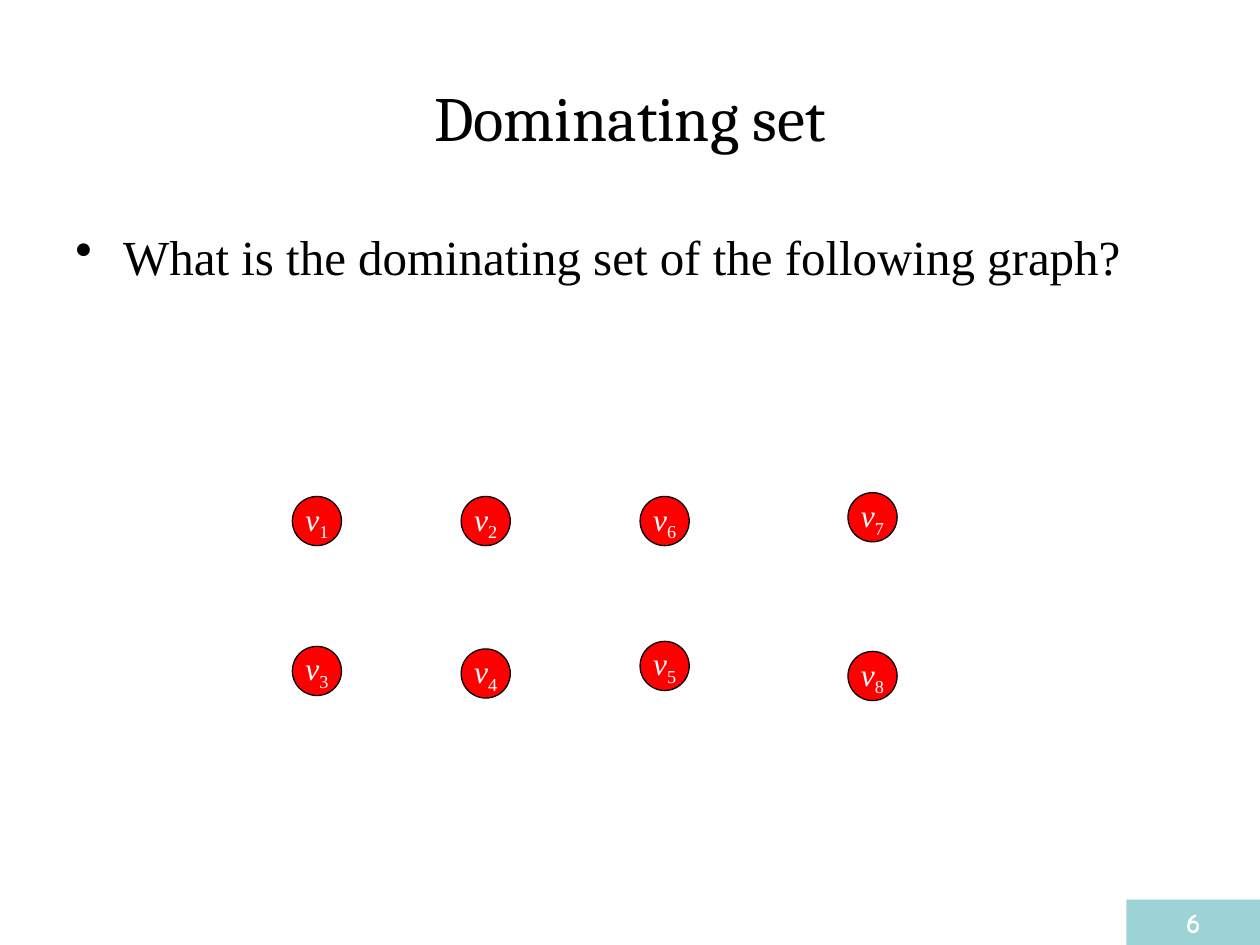
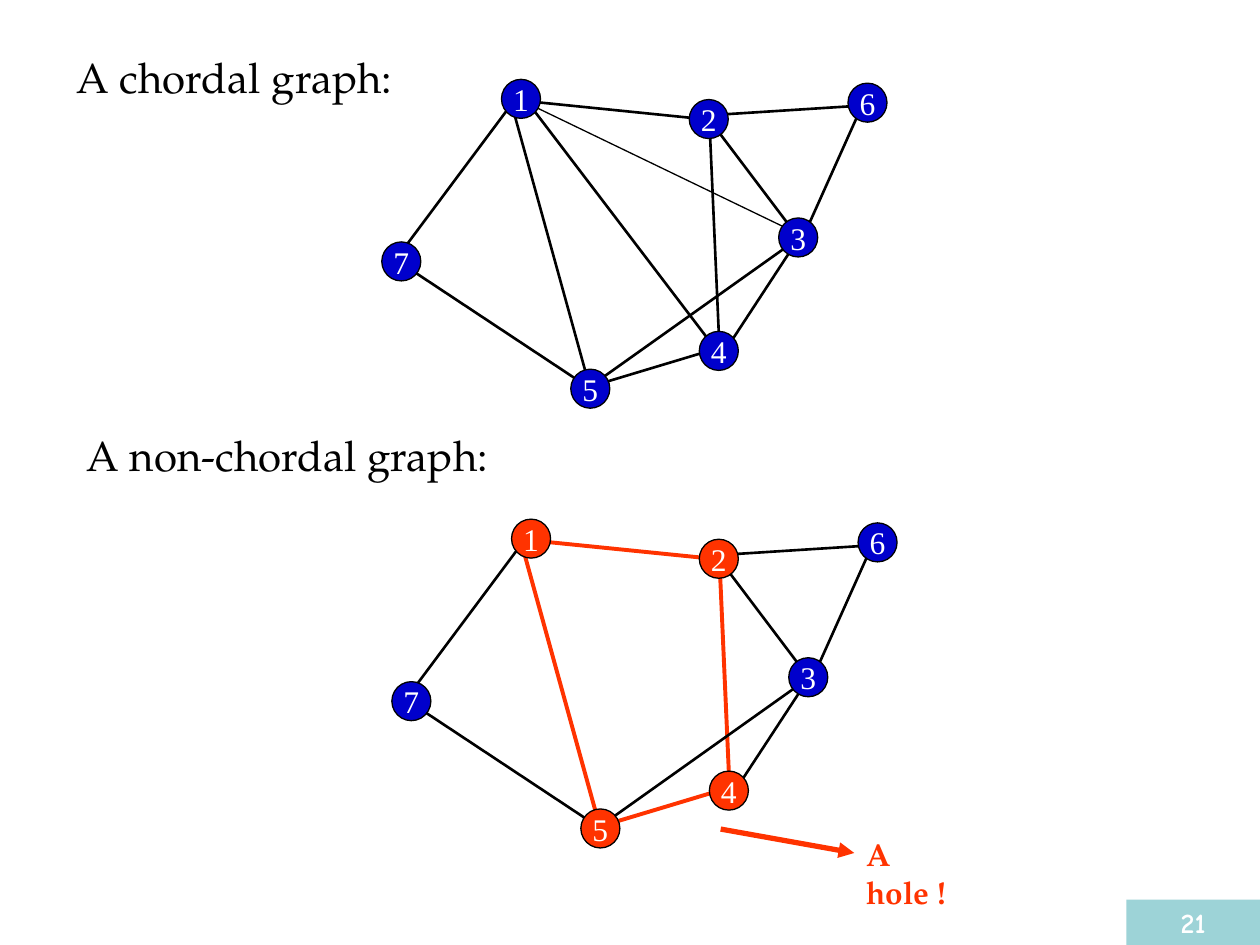
from lxml import etree
from pptx import Presentation
from pptx.dml.color import RGBColor
from pptx.enum.shapes import MSO_CONNECTOR, MSO_SHAPE
from pptx.enum.text import MSO_ANCHOR, PP_ALIGN
from pptx.oxml.ns import qn
from pptx.util import Inches, Pt

LINE = MSO_CONNECTOR.STRAIGHT
OVAL, RECT = MSO_SHAPE.OVAL, MSO_SHAPE.RECTANGLE
TOP, MIDDLE = MSO_ANCHOR.TOP, MSO_ANCHOR.MIDDLE
LEFT, CENTER = PP_ALIGN.LEFT, PP_ALIGN.CENTER

BLACK, WHITE, RED = "000000", "FFFFFF", "FF0000"
BLUE, ORANGE, TEAL = "0000CC", "FF3300", "9DD3D7"
SERIF = "Times New Roman"

TITLE = {"name": "Cambria", "size": Pt(36), "color": BLACK}
BODY = {"name": SERIF, "size": Pt(28), "color": BLACK}
HEAD = {"name": "TeX Gyre Pagella", "size": Pt(24), "color": BLACK}
NOTE = {**HEAD, "size": Pt(18), "color": ORANGE, "bold": True}
NODE = {"name": SERIF, "size": Pt(18), "color": WHITE}
PAGE = {"name": "Comic Neue", "size": Pt(16), "color": WHITE, "bold": True}

# Vertex index: left and top of its circle within the graph box
VERTS = {
    1: (0, 0.03), 2: (1.34, 0.03), 6: (2.76, 0.03), 7: (4.41, 0),
    3: (0, 1.22), 4: (1.34, 1.24), 5: (2.76, 1.18), 8: (4.41, 1.26),
}
NODES = {
    1: (0.95, 0), 2: (2.44, 0.16), 3: (3.15, 1.1), 4: (2.52, 2),
    5: (1.5, 2.3), 6: (3.7, 0.03), 7: (0, 1.29),
}
# Node pair: start and end of its edge within the graph box
EDGES = {
    (1, 5): ((1.02, 0.16), (1.65, 2.44)),
    (4, 5): ((2.68, 2.13), (1.65, 2.44)),
    (1, 2): ((1.02, 0.16), (2.6, 0.32)),
    (2, 4): ((2.6, 0.32), (2.68, 2.13)),
    (3, 5): ((3.31, 1.26), (1.65, 2.44)),
    (3, 4): ((3.31, 1.26), (2.76, 2.1)),
    (2, 3): ((2.6, 0.32), (3.31, 1.26)),
    (2, 6): ((2.68, 0.28), (3.78, 0.21)),
    (3, 6): ((3.39, 1.15), (3.78, 0.28)),
    (1, 7): ((1.02, 0.21), (0.17, 1.35)),
    (5, 7): ((1.62, 2.43), (0.2, 1.49)),
}
CHORDS = {
    (1, 4): ((1.18, 0.21), (2.68, 2.18), 1.5),
    (1, 3): ((1.24, 0.23), (3.21, 1.18), 0.75),
}
HOLE = {1, 2, 4, 5}


def rgb(color):
    return RGBColor.from_string(color)


def style(font, look):
    for key, val in look.items():
        if key == "color":
            font.color.rgb = rgb(val)
        else:
            setattr(font, key, val)


def write(shape, text, look, align=LEFT, anchor=TOP, wrap=True):
    frame = shape.text_frame
    frame.word_wrap = wrap
    frame.vertical_anchor = anchor
    para = frame.paragraphs[0]
    para.alignment = align
    run = para.add_run()
    run.text = text
    style(run.font, look)
    return para


def label(slide, box, text, look, **opts):
    return write(slide.shapes.add_textbox(*map(Inches, box)), text, look, **opts)


def bullet(para, indent):
    props = para._p.get_or_add_pPr()
    props.set("marL", str(Inches(indent)))
    props.set("indent", str(-Inches(indent)))
    etree.SubElement(props, qn("a:buChar")).set("char", "•")


def solid(slide, kind, box, fill, edge=None):
    shape = slide.shapes.add_shape(kind, *map(Inches, box))
    shape.shadow.inherit = False
    shape.fill.solid()
    shape.fill.fore_color.rgb = rgb(fill)
    if edge:
        shape.line.color.rgb = rgb(edge)
        shape.line.width = Pt(0.75)
    else:
        shape.line.fill.background()
    return shape


def circle(slide, left, top, size, fill, text, look):
    shape = solid(slide, OVAL, (left, top, size, size), fill, BLACK)
    return write(shape, text, look, CENTER, MIDDLE, wrap=False)


def link(slide, start, end, color, width, arrow=False):
    line = slide.shapes.add_connector(LINE, *map(Inches, (*start, *end)))
    line.line.color.rgb = rgb(color)
    line.line.width = Pt(width)
    if arrow:
        etree.SubElement(line.line._get_or_add_ln(), qn("a:tailEnd")).set("type", "triangle")
    etree.SubElement(line._element.spPr, qn("a:effectLst"))


def footer(slide, number):
    shape = solid(slide, RECT, (8.94, 7.14, 1.06, 0.36), TEAL)
    write(shape, str(number), PAGE, CENTER)


def vertices(slide, left, top):
    """Draw the loose vertices, each named v with its index below the line."""
    for num, (x, y) in VERTS.items():
        para = circle(slide, left + x, top + y, 0.39, RED, "v", {**NODE, "italic": True})
        sub = para.add_run()
        sub.text = str(num)
        style(sub.font, NODE)
        sub._r.get_or_add_rPr().set("baseline", "-25000")


def graph(slide, left, top, chords=(), hole=()):
    """Draw the edges, any chords and the nodes, with the hole picked out."""
    def place(point):
        return left + point[0], top + point[1]

    for pair, (start, end) in EDGES.items():
        color, width = (ORANGE, 2.25) if set(pair) <= set(hole) else (BLACK, 1.5)
        link(slide, place(start), place(end), color, width)
    for pair in chords:
        start, end, width = CHORDS[pair]
        link(slide, place(start), place(end), BLACK, width)
    for num, spot in NODES.items():
        fill = ORANGE if num in hole else BLUE
        circle(slide, *place(spot), 0.31, fill, str(num), NODE)


def question(slide):
    label(slide, (0.5, 0.3, 9, 1.25), "Dominating set", TITLE,
          align=CENTER, anchor=MIDDLE)
    para = label(slide, (0.5, 1.75, 9, 4.95),
                 "What is the dominating set of the following graph?", BODY)
    bullet(para, 0.38)
    vertices(slide, 2.32, 3.91)
    footer(slide, 6)


def compare(slide):
    """Set a chordal graph above the same graph without its chords."""
    label(slide, (0.51, 0.36, 3.78, 0.5), "A chordal graph:", HEAD)
    graph(slide, 3.03, 0.63, chords=CHORDS)
    label(slide, (0.59, 3.36, 3.78, 0.5), "A non-chordal graph:", HEAD)
    graph(slide, 3.11, 4.12, hole=HOLE)
    link(slide, (5.72, 6.58), (6.78, 6.77), ORANGE, 3, arrow=True)
    label(slide, (6.78, 6.58, 1.05, 0.7), "A hole !", NOTE)
    footer(slide, 21)


def main():
    deck = Presentation()
    deck.slide_width, deck.slide_height = Inches(10), Inches(7.5)
    for build in (question, compare):
        build(deck.slides.add_slide(deck.slide_layouts[6]))
    deck.save("out.pptx")


if __name__ == "__main__":
    main()
